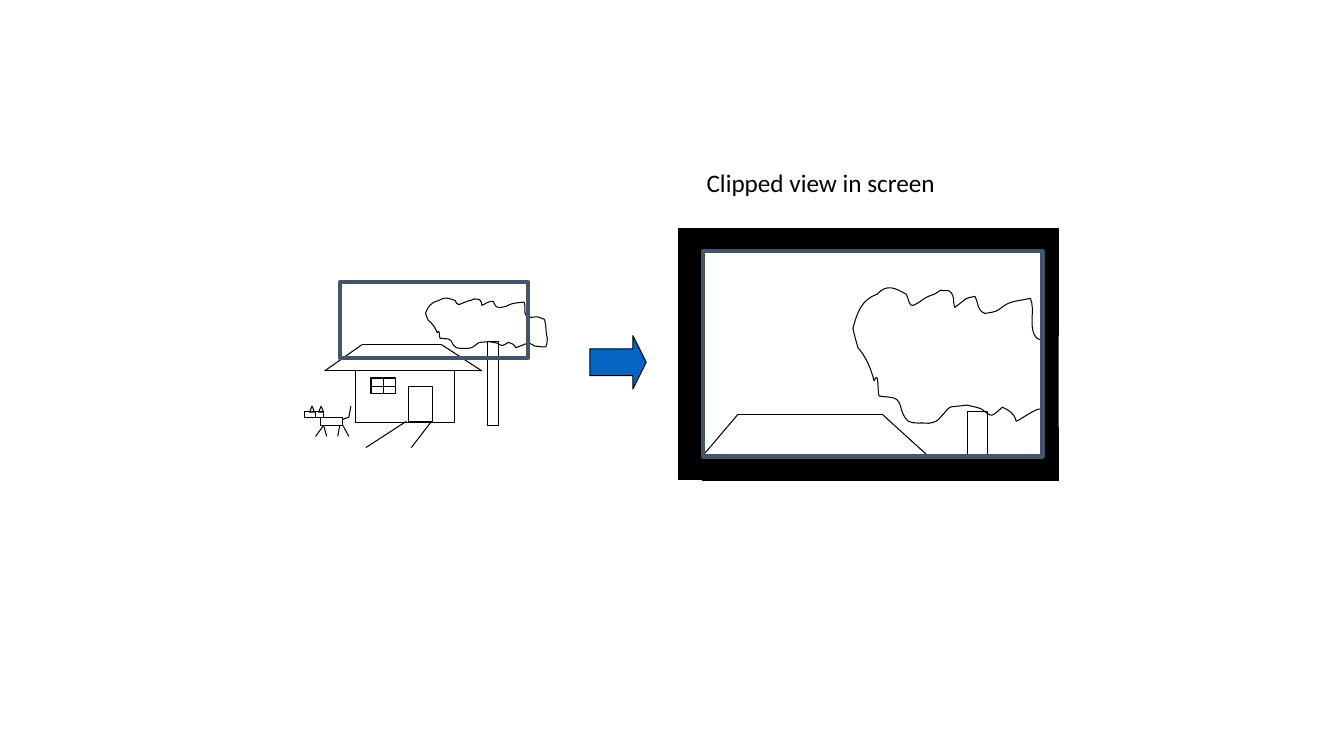
from pptx import Presentation, util as u
from pptx.dml.color import RGBColor
from pptx.enum import shapes, text
from pptx.oxml.xmlchemy import OxmlElement

COLORS = {"ink": "000000", "paper": "FFFFFF", "window": "44546A", "arrow": "0563C1"}
KINDS = shapes.MSO_SHAPE

# Tree crown on a 220 x 140 grid: a start point, then three points per Bezier curve.
CROWN_SIZE = (220, 140)
CROWN_START = (21, 97)
CROWN_CURVES = [
    (18, 85), (13, 73), (5, 64), (1, 50), (3, 57), (0, 45),
    (4, 29), (9, 16), (24, 11), (34, 0), (42, 5), (53, 11),
    (55, 15), (56, 24), (60, 22), (65, 20), (70, 15), (75, 13),
    (83, 10), (79, 12), (87, 7), (90, 8), (95, 6), (97, 9),
    (101, 12), (99, 19), (101, 24), (116, 13), (109, 16), (121, 13),
    (125, 21), (123, 27), (131, 30), (136, 29), (141, 29), (145, 26),
    (148, 24), (150, 22), (154, 20), (161, 17), (169, 17), (176, 15),
    (181, 26), (174, 43), (181, 53), (185, 59), (195, 54), (201, 55),
    (201, 55), (213, 61), (213, 62), (216, 77), (215, 92), (217, 106),
    (217, 108), (218, 110), (218, 112), (216, 140), (220, 136), (196, 133),
    (193, 130), (189, 128), (186, 125), (183, 123), (167, 135), (162, 137),
    (160, 129), (155, 126), (148, 123), (145, 126), (142, 129), (138, 131),
    (136, 132), (129, 126), (128, 125), (124, 123), (117, 122), (113, 121),
    (91, 124), (100, 119), (85, 135), (83, 138), (75, 139), (75, 139),
    (68, 138), (61, 140), (55, 137), (51, 135), (48, 125), (48, 125),
    (45, 111), (39, 114), (26, 112), (24, 106), (26, 85), (21, 97),
]


class Sketch:
    """Draws thin outlined figures on one slide."""

    def __init__(self, slide, font="Calibri", weight=0.75):
        self.shapes = slide.shapes
        self.font = font
        self.weight = weight

    def color(self, name):
        return RGBColor.from_string(COLORS[name])

    def style(self, sp, fill, line, weight=None):
        sp.shadow.inherit = False
        if fill:
            sp.fill.solid()
            sp.fill.fore_color.rgb = self.color(fill)
        else:
            sp.fill.background()
        if line:
            sp.line.color.rgb = self.color(line)
            sp.line.width = u.Pt(weight or self.weight)
        else:
            sp.line.fill.background()

    def shape(self, *box, kind=KINDS.RECTANGLE, fill=None, line="ink", weight=None):
        sp = self.shapes.add_shape(kind, *map(u.Inches, box))
        self.style(sp, fill, line, weight)
        return sp

    def polyline(self, *points):
        """Joins the points with separate straight lines."""
        for start, end in zip(points, points[1:]):
            cx = self.shapes.add_connector(
                shapes.MSO_CONNECTOR.STRAIGHT, *map(u.Inches, start + end))
            cx.line.color.rgb = self.color("ink")
            cx.line.width = u.Pt(self.weight)
            cx._element.spPr.append(OxmlElement("a:effectLst"))

    def crown(self, left, top, width, height):
        scale = (u.Inches(width) / CROWN_SIZE[0], u.Inches(height) / CROWN_SIZE[1])
        builder = self.shapes.build_freeform(*CROWN_START, scale=scale)
        builder.add_line_segments(CROWN_CURVES, close=True)
        sp = builder.convert_to_shape(u.Inches(left), u.Inches(top))
        segments = sp._element.xpath(".//a:lnTo")
        for i in range(0, len(segments), 3):
            curve = OxmlElement("a:cubicBezTo")
            segments[i].addprevious(curve)
            for segment in segments[i:i + 3]:
                curve.append(segment[0])
                segment.getparent().remove(segment)
        self.style(sp, None, "ink")

    def label(self, words, *box, size=18):
        tf = self.shapes.add_textbox(*map(u.Inches, box)).text_frame
        tf.word_wrap = True
        tf.auto_size = text.MSO_AUTO_SIZE.SHAPE_TO_FIT_TEXT
        tf.text = words
        r = tf.paragraphs[0].runs[0]
        r.font.size = u.Pt(size)
        r.font.name = self.font
        r.font.color.rgb = self.color("ink")


def draw_screen_frame(sketch):
    for box in [(10.34, 2.42, 0.16, 2.27), (6.97, 4.54, 3.53, 0.23),
                (6.73, 2.49, 0.24, 2.27), (6.73, 2.27, 3.77, 0.23)]:
        sketch.shape(*box, fill="ink")


def draw_house(sketch):
    sketch.shape(3.53, 3.68, 0.98, 0.51)
    sketch.polyline((3.53, 3.68), (3.22, 3.68), (3.59, 3.42),
                    (4.38, 3.42), (4.78, 3.68), (4.44, 3.68))
    sketch.shape(3.68, 3.75, 0.24, 0.15)
    sketch.polyline((3.68, 3.83), (3.93, 3.83))
    sketch.polyline((3.8, 3.75), (3.8, 3.9))
    sketch.shape(4.05, 3.83, 0.24, 0.35)
    sketch.polyline((4.03, 4.18), (3.63, 4.44))
    sketch.polyline((4.28, 4.18), (4.08, 4.44))


def draw_tree(sketch, trunk, crown):
    sketch.shape(*trunk)
    sketch.crown(*crown)


def draw_cat(sketch):
    sketch.shape(3.18, 4.14, 0.22, 0.08)
    sketch.shape(3.02, 4.08, 0.11, 0.06, fill="paper")
    sketch.shape(3.13, 4.08, 0.08, 0.06, fill="paper")
    for hip, foot in [(3.21, 3.13), (3.21, 3.24), (3.37, 3.35), (3.4, 3.46)]:
        sketch.polyline((hip, 4.22), (foot, 4.33))
    sketch.polyline((3.4, 4.16), (3.46, 4.14), (3.48, 4.03))
    for ear in (3.07, 3.16):
        sketch.shape(ear, 4.03, 0.05, 0.06, kind=KINDS.ISOSCELES_TRIANGLE)


def draw_clipped_view(sketch):
    sketch.polyline((6.98, 4.51), (7.32, 4.11), (8.75, 4.11), (9.3, 4.61))
    draw_tree(sketch, (9.6, 4.08, 0.19, 0.5), (8.46, 2.81, 2.2, 1.4))
    sketch.shape(10.34, 2.87, 0.16, 1.67, fill="ink", line=None)
    sketch.shape(6.97, 2.49, 3.37, 2.04, line="window", weight=3)
    sketch.shape(10.5, 3.33, 0.16, 0.91, fill="paper", line=None)


def main():
    prs = Presentation()
    prs.slide_width, prs.slide_height = u.Inches(13.33), u.Inches(7.5)
    sketch = Sketch(prs.slides.add_slide(prs.slide_layouts[6]))

    draw_screen_frame(sketch)
    draw_house(sketch)
    draw_tree(sketch, (4.84, 3.39, 0.1, 0.83), (4.22, 2.94, 1.22, 0.52))
    draw_cat(sketch)
    sketch.shape(3.37, 2.8, 1.87, 0.75, line="window", weight=3)
    draw_clipped_view(sketch)
    arrow = sketch.shape(5.85, 3.33, 0.56, 0.53, kind=KINDS.RIGHT_ARROW, fill="arrow")
    arrow.adjustments[1] = 0.25
    sketch.label("Clipped view in screen", 6.91, 1.61, 2.5, 0.4)
    prs.save("out.pptx")


if __name__ == "__main__":
    main()
